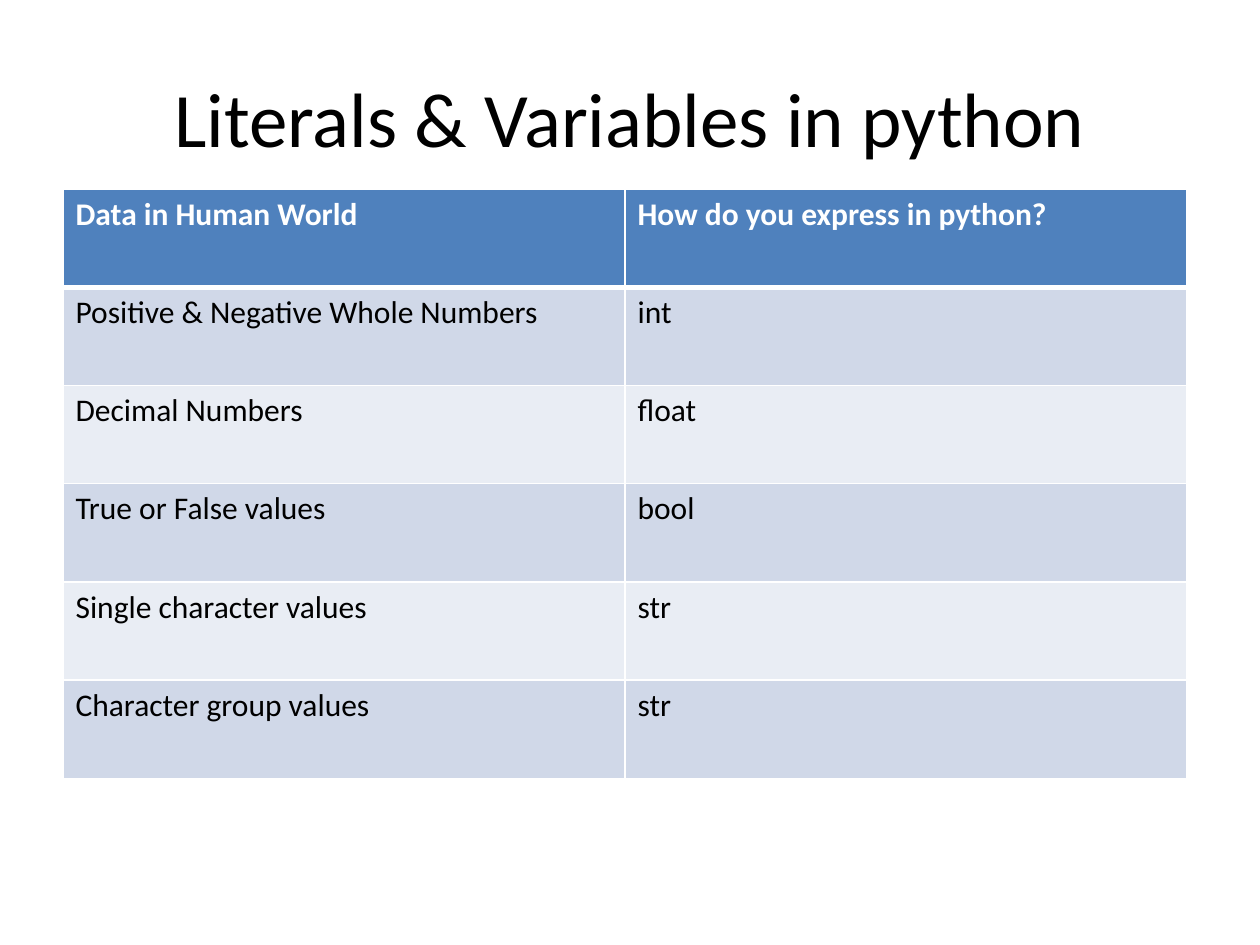
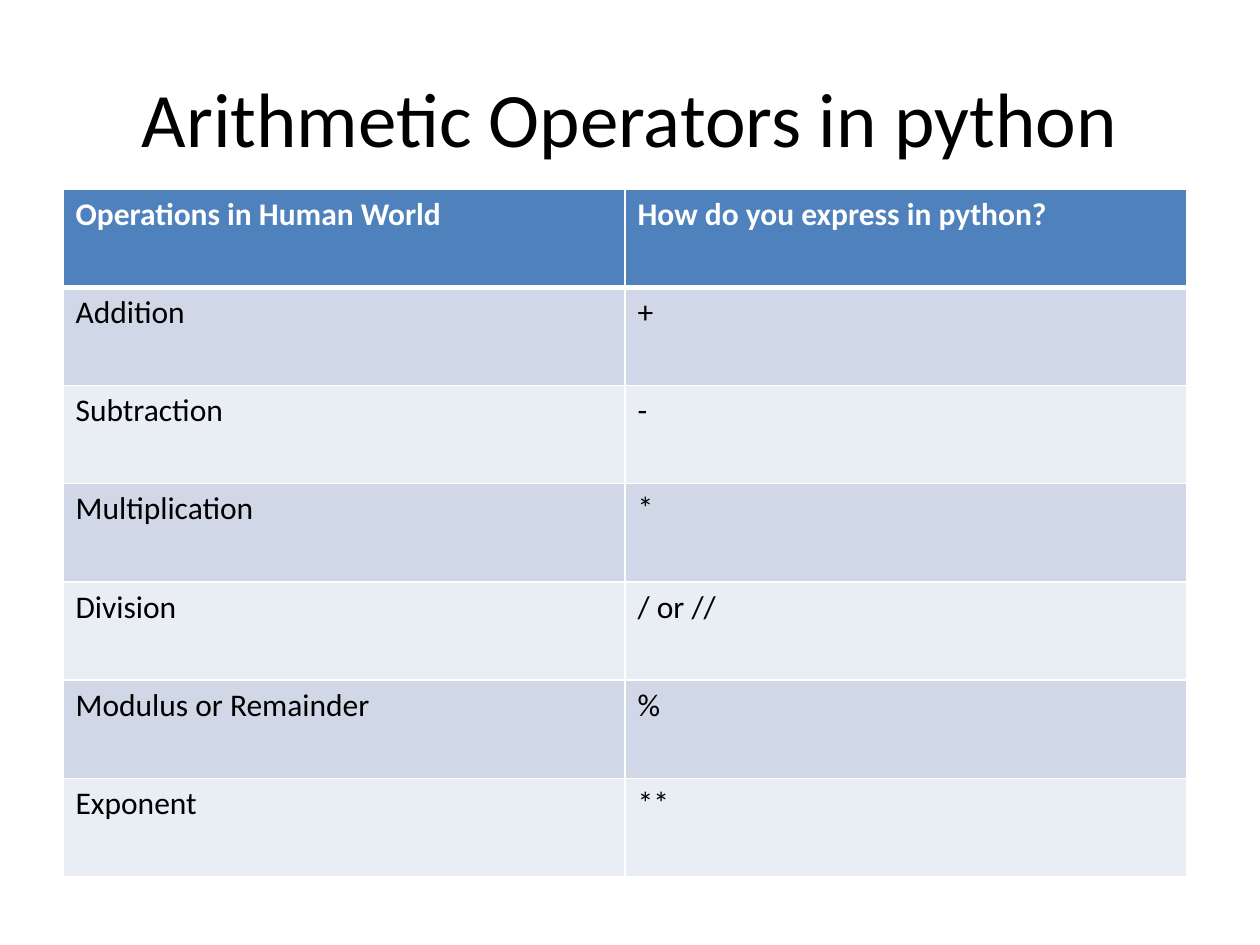
import dataclasses

import lxml.etree
import pptx
import pptx.dml.color
import pptx.enum.text
import pptx.oxml.ns
import pptx.util
from pptx.util import Cm


@dataclasses.dataclass(frozen=True)
class Theme:
    font: str = "Calibri"
    title_size: int = 44
    cell_size: int = 18
    text: str = "000000"
    header_text: str = "FFFFFF"
    header_fill: str = "4F81BD"
    bands: tuple = ("D0D8E8", "E9EDF4")
    grid: str = "FFFFFF"
    grid_width: int = 1
    header_rule_width: int = 3


theme = Theme()
row_height = Cm(1.98)
column_width = Cm(11.33)

topics = [
    ("Literals & Variables in python", [
        ("Data in Human World", "How do you express in python?"),
        ("Positive & Negative Whole Numbers", "int"),
        ("Decimal Numbers", "float"),
        ("True or False values", "bool"),
        ("Single character values", "str"),
        ("Character group values", "str"),
    ]),
    ("Arithmetic Operators in python", [
        ("Operations in Human World", "How do you express in python?"),
        ("Addition", "+"),
        ("Subtraction", "-"),
        ("Multiplication", "*"),
        ("Division", "/ or //"),
        ("Modulus or Remainder", "%"),
        ("Exponent", "**"),
    ]),
]


def add_run(paragraph, text, size, color, bold=False):
    run = paragraph.add_run()
    run.text = text
    run.font.name = theme.font
    run.font.size = pptx.util.Pt(size)
    run.font.bold = bold
    run.font.color.rgb = pptx.dml.color.RGBColor.from_string(color)


def add_border(cell, side, width):
    qn = pptx.oxml.ns.qn
    border = lxml.etree.SubElement(
        cell._tc.get_or_add_tcPr(), qn(f"a:ln{side}"), w=str(pptx.util.Pt(width)))
    fill = lxml.etree.SubElement(border, qn("a:solidFill"))
    lxml.etree.SubElement(fill, qn("a:srgbClr"), val=theme.grid)


deck = pptx.Presentation()
deck.slide_width = Cm(25.4)
deck.slide_height = Cm(19.05)

for heading, entries in topics:
    slide = deck.slides.add_slide(deck.slide_layouts[5])
    title = slide.shapes.title
    title.left, title.top = Cm(1.27), Cm(0.76)
    title.width, title.height = Cm(22.86), Cm(3.18)
    title.text_frame.vertical_anchor = pptx.enum.text.MSO_ANCHOR.MIDDLE
    title_line = title.text_frame.paragraphs[0]
    title_line.alignment = pptx.enum.text.PP_ALIGN.CENTER
    add_run(title_line, heading, theme.title_size, theme.text)

    comparison = slide.shapes.add_table(
        len(entries), 2, Cm(1.27), Cm(3.81),
        column_width * 2, row_height * len(entries)).table
    for column in comparison.columns:
        column.width = column_width

    for row_index, entry in enumerate(entries):
        comparison.rows[row_index].height = row_height
        is_header = row_index == 0
        fill_color = theme.header_fill if is_header else theme.bands[(row_index - 1) % 2]
        text_color = theme.header_text if is_header else theme.text
        for column_index, words in enumerate(entry):
            cell = comparison.cell(row_index, column_index)
            for side in "LRTB":
                is_header_rule = (row_index, side) in ((0, "B"), (1, "T"))
                add_border(cell, side,
                           theme.header_rule_width if is_header_rule else theme.grid_width)
            cell.fill.solid()
            cell.fill.fore_color.rgb = pptx.dml.color.RGBColor.from_string(fill_color)
            add_run(cell.text_frame.paragraphs[0], words,
                    theme.cell_size, text_color, is_header)

deck.save("out.pptx")
